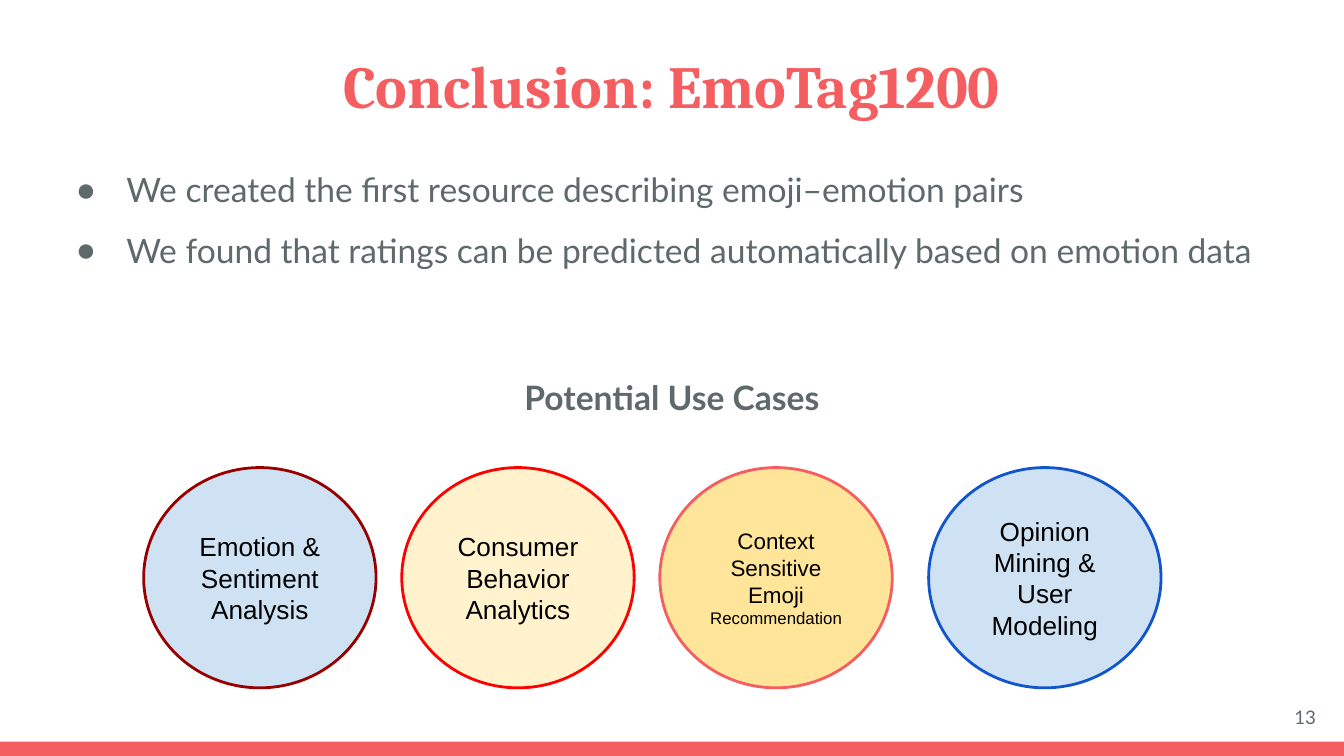
from pptx import Presentation
from pptx.dml.color import RGBColor as Rgb
from pptx.enum.shapes import MSO_SHAPE as Kind
from pptx.enum.text import MSO_ANCHOR as Anchor, MSO_AUTO_SIZE as Fit, PP_ALIGN as Align
from pptx.oxml.ns import qn
from pptx.util import Pt
from lxml.etree import SubElement as Sub

HUES = {"coral": "F55E61", "slate": "5E696C", "black": "000000",
        "sky": "CFE2F3", "cream": "FFF2CC", "gold": "FFE599",
        "wine": "980000", "red": "FF0000", "blue": "1155CC"}

POINTS = ["We created the first resource describing emoji–emotion pairs",
          "We found that ratings can be predicted automatically based on emotion data"]

# Left edge, fill, line, and runs of (text, size)
CASES = [(77, "sky", "wine", [("Emotion & Sentiment Analysis", 14)]),
         (215.25, "cream", "red", [("Consumer Behavior Analytics", 14)]),
         (353.5, "gold", "coral", [("Context Sensitive Emoji ", 12), ("Recommendation", 9)]),
         (497.5, "sky", "blue", [("Opinion Mining & User Modeling", 14)])]


def hue(name):
    return Rgb.from_string(HUES[name])


def style(font, face, size, color, bold=False):
    font.name, font.size, font.bold = face, Pt(size), bold
    font.color.rgb = hue(color)


def place(shape, left, top, width, height):
    shape.left, shape.top = Pt(left), Pt(top)
    shape.width, shape.height = Pt(width), Pt(height)


def set_frame(frame, anchor):
    frame.word_wrap = True
    frame.auto_size = Fit.NONE
    frame.vertical_anchor = anchor
    frame.margin_left = frame.margin_right = Pt(7.2)
    frame.margin_top = frame.margin_bottom = Pt(7.2)


def set_bullet(para, char=None):
    props = para._p.get_or_add_pPr()
    props.set("marL", str(Pt(36) if char else 0))
    props.set("indent", str(Pt(-27) if char else 0))
    if char:
        tint = Sub(props, qn("a:buClr"))
        Sub(tint, qn("a:srgbClr")).set("val", HUES["slate"])
        Sub(props, qn("a:buChar")).set("char", char)
    else:
        Sub(props, qn("a:buNone"))


def set_space(para, line, before=0):
    para.line_spacing = line
    para.space_before, para.space_after = Pt(before), Pt(0)


def add_shape(slide, kind, box, fill, line=None):
    shape = slide.shapes.add_shape(kind, *map(Pt, box))
    shape.shadow.inherit = False
    shape.fill.solid()
    shape.fill.fore_color.rgb = hue(fill)
    if line:
        shape.line.color.rgb = hue(line)
        shape.line.width = Pt(1.5)
    else:
        shape.line.fill.background()
    return shape


def set_title(shape):
    place(shape, 24.5, 18.75, 671, 49)
    set_frame(shape.text_frame, Anchor.TOP)
    shape.text_frame.text = "Conclusion: EmoTag1200"
    para = shape.text_frame.paragraphs[0]
    para.alignment = Align.CENTER
    style(para.runs[0].font, "Cambria", 32, "coral", True)


def set_body(shape):
    place(shape, 24.5, 72.75, 671, 320)
    frame = shape.text_frame
    set_frame(frame, Anchor.TOP)
    frame.text = "\n".join(POINTS + ["Potential Use Cases"])
    *items, head = frame.paragraphs
    for para in items:
        set_bullet(para, "●")
        set_space(para, 1.5)
        style(para.runs[0].font, "Lato", 18, "slate")
    set_bullet(head)
    set_space(head, 1.15, 54)
    head.alignment = Align.CENTER
    style(head.runs[0].font, "Lato", 18, "slate", True)


def add_case(slide, left, fill, line, parts):
    oval = add_shape(slide, Kind.OVAL, (left, 250.5, 124.5, 118), fill, line)
    set_frame(oval.text_frame, Anchor.MIDDLE)
    para = oval.text_frame.paragraphs[0]
    para.alignment = Align.CENTER
    for text, size in parts:
        run = para.add_run()
        run.text = text
        style(run.font, "Arial", size, "black")


def add_number(slide, text):
    box = slide.shapes.add_textbox(Pt(669), Pt(368.75), Pt(43), Pt(31))
    set_frame(box.text_frame, Anchor.MIDDLE)
    box.text_frame.text = text
    para = box.text_frame.paragraphs[0]
    para.alignment = Align.RIGHT
    style(para.runs[0].font, "Lato", 10, "slate")


def main():
    deck = Presentation()
    deck.slide_width, deck.slide_height = Pt(720), Pt(405)
    slide = deck.slides.add_slide(deck.slide_layouts[1])

    # Title, findings and heading
    set_title(slide.shapes.title)
    set_body(slide.placeholders[1])

    # Footer bar and page number
    add_shape(slide, Kind.RECTANGLE, (0, 397.25, 720, 7.75), "coral")
    add_number(slide, "13")

    # Use cases
    for case in CASES:
        add_case(slide, *case)

    deck.save("out.pptx")


if __name__ == "__main__":
    main()
